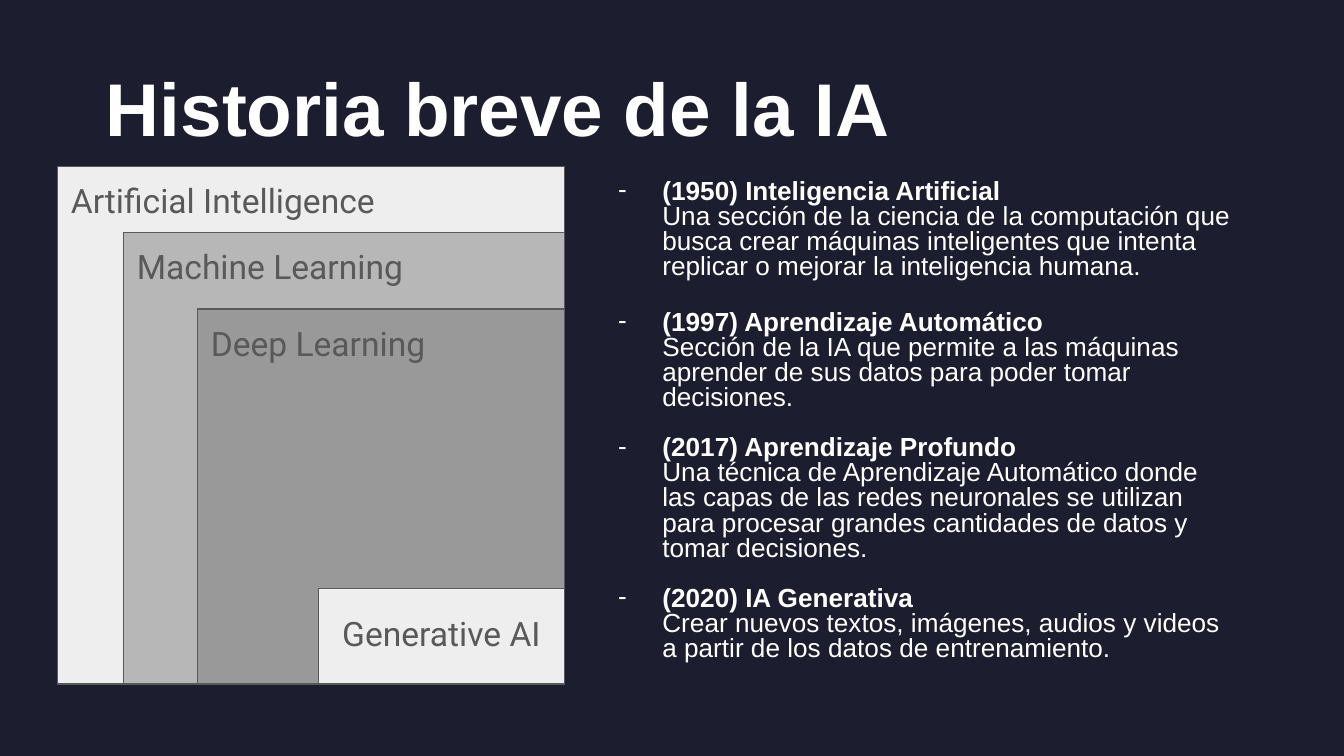
"""Build a slide on the brief history of AI: nested fields beside a dated list."""
import pptx
import pptx.dml.color
import pptx.enum.shapes
import pptx.enum.text
import pptx.util
from lxml import etree

RGB = pptx.dml.color.RGBColor
NAVY = RGB(0x1D, 0x1D, 0x30)
WHITE = RGB(0xFF, 0xFF, 0xFF)
PALE = RGB(0xEE, 0xEE, 0xEE)
SILVER = RGB(0xB7, 0xB7, 0xB7)
GRAY = RGB(0x99, 0x99, 0x99)
DARK = RGB(0x59, 0x59, 0x59)
ALIGN = pptx.enum.text.PP_ALIGN
Inches, Pt = pptx.util.Inches, pptx.util.Pt

TITLE = "Historia breve de la IA"
FIELDS = [
    ("Artificial Intelligence", 0.43, 1.24, PALE),
    ("Machine Learning", 0.92, 1.73, SILVER),
    ("Deep Learning", 1.47, 2.3, GRAY),
    ("Generative AI", 2.37, 4.38, PALE),
]
MILESTONES = [
    ("(1950) Inteligencia Artificial",
     "Una sección de la ciencia de la computación que busca crear máquinas "
     "inteligentes que intenta replicar o mejorar la inteligencia humana.", 16.5),
    ("(1997) Aprendizaje Automático",
     "Sección de la IA que permite a las máquinas aprender de sus datos para "
     "poder tomar decisiones.", 13.5),
    ("(2017) Aprendizaje Profundo",
     "Una técnica de Aprendizaje Automático donde las capas de las redes "
     "neuronales se utilizan para procesar grandes cantidades de datos y tomar "
     "decisiones.", 13.5),
    ("(2020) IA Generativa",
     "Crear nuevos textos, imágenes, audios y videos a partir de los datos de "
     "entrenamiento.", 0),
]
WIDTH = 10
HEIGHT = WIDTH * 9 / 16
RIGHT, BOTTOM = 4.2, 5.09
LABEL_HEIGHT = 0.55


def add_run(p, text, size=14, font="Arial", color=WHITE, bold=False):
    """Append a formatted run to a paragraph."""
    r = p.add_run()
    r.text = text
    r.font.size, r.font.name, r.font.bold = Pt(size), font, bold
    r.font.color.rgb = color


def add_box(slide, box, inset_top=0.1):
    """Add a wrapped text box."""
    sp = slide.shapes.add_textbox(*map(Inches, box))
    tf = sp.text_frame
    tf.word_wrap = True
    tf.margin_left = tf.margin_right = tf.margin_bottom = Inches(0.1)
    tf.margin_top = Inches(inset_top)
    return sp


def add_text(slide, text, box, align=ALIGN.LEFT, inset_top=0.1, **style):
    """Add a text box holding one formatted line."""
    p = add_box(slide, box, inset_top).text_frame.paragraphs[0]
    p.alignment = align
    add_run(p, text, **style)


def add_dash(p):
    """Give a paragraph a hanging white dash."""
    pPr = p._p.get_or_add_pPr()
    pPr.set("marL", str(Inches(0.5)))
    pPr.set("indent", str(Inches(-0.33)))
    qn = pptx.oxml.ns.qn
    color = etree.SubElement(pPr, qn("a:buClr"))
    etree.SubElement(color, qn("a:srgbClr"), val=str(WHITE))
    etree.SubElement(pPr, qn("a:buSzPts"), val="1400")
    etree.SubElement(pPr, qn("a:buFont"), typeface="Arial")
    etree.SubElement(pPr, qn("a:buChar"), char="-")


def add_milestones(slide, box):
    """Add the dated list."""
    sp = add_box(slide, box)
    sp.fill.solid()
    sp.fill.fore_color.rgb = NAVY
    tf = sp.text_frame
    for i, (heading, body, gap) in enumerate(MILESTONES):
        p = tf.add_paragraph() if i else tf.paragraphs[0]
        add_dash(p)
        p.line_spacing, p.space_after = 0.8, Pt(gap)
        add_run(p, heading, bold=True)
        p.add_line_break()
        add_run(p, body)


def add_fields(slide):
    """Add nested rectangles sharing a lower right corner, then their labels."""
    for name, left, top, fill in FIELDS:
        box = (left, top, RIGHT - left, BOTTOM - top)
        sp = slide.shapes.add_shape(
            pptx.enum.shapes.MSO_SHAPE.RECTANGLE, *map(Inches, box))
        sp.shadow.inherit = False
        sp.fill.solid()
        sp.fill.fore_color.rgb = fill
        sp.line.color.rgb, sp.line.width = DARK, Pt(0.75)
    for name, left, top, fill in FIELDS:
        innermost = name == FIELDS[-1][0]
        y = (top + BOTTOM - LABEL_HEIGHT) / 2 if innermost else top
        add_text(slide, name, (left, y, RIGHT - left, LABEL_HEIGHT),
                 align=ALIGN.CENTER if innermost else ALIGN.LEFT,
                 size=18, font="Roboto", color=DARK)


def main():
    """Build and save the slide."""
    prs = pptx.Presentation()
    prs.slide_width, prs.slide_height = Inches(WIDTH), Inches(HEIGHT)
    slide = prs.slides.add_slide(prs.slide_layouts[6])
    slide.background.fill.solid()
    slide.background.fill.fore_color.rgb = NAVY
    add_text(slide, TITLE, (0.69, 0.3, 7.48, 1.09), inset_top=0.16,
             size=40, bold=True)
    add_milestones(slide, (4.33, 1.24, 4.98, 3.84))
    add_fields(slide)
    prs.save("out.pptx")


if __name__ == "__main__":
    main()
